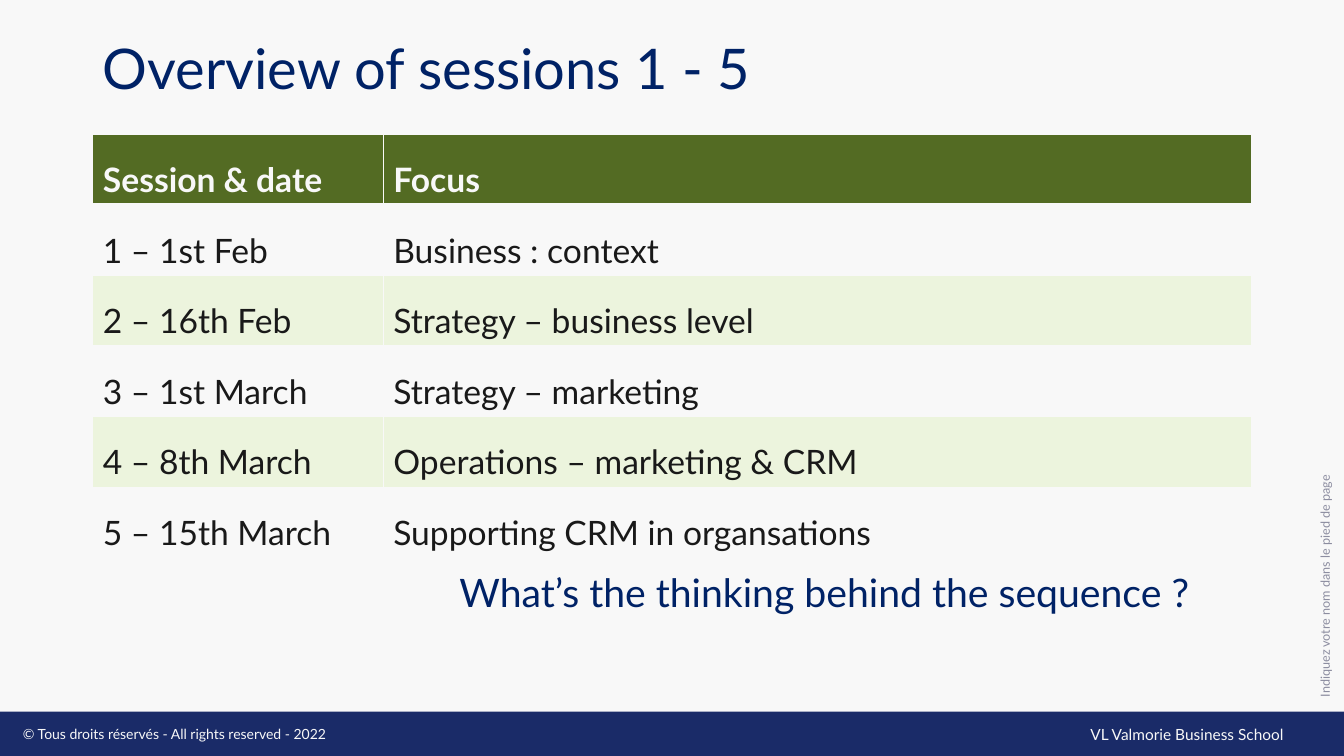
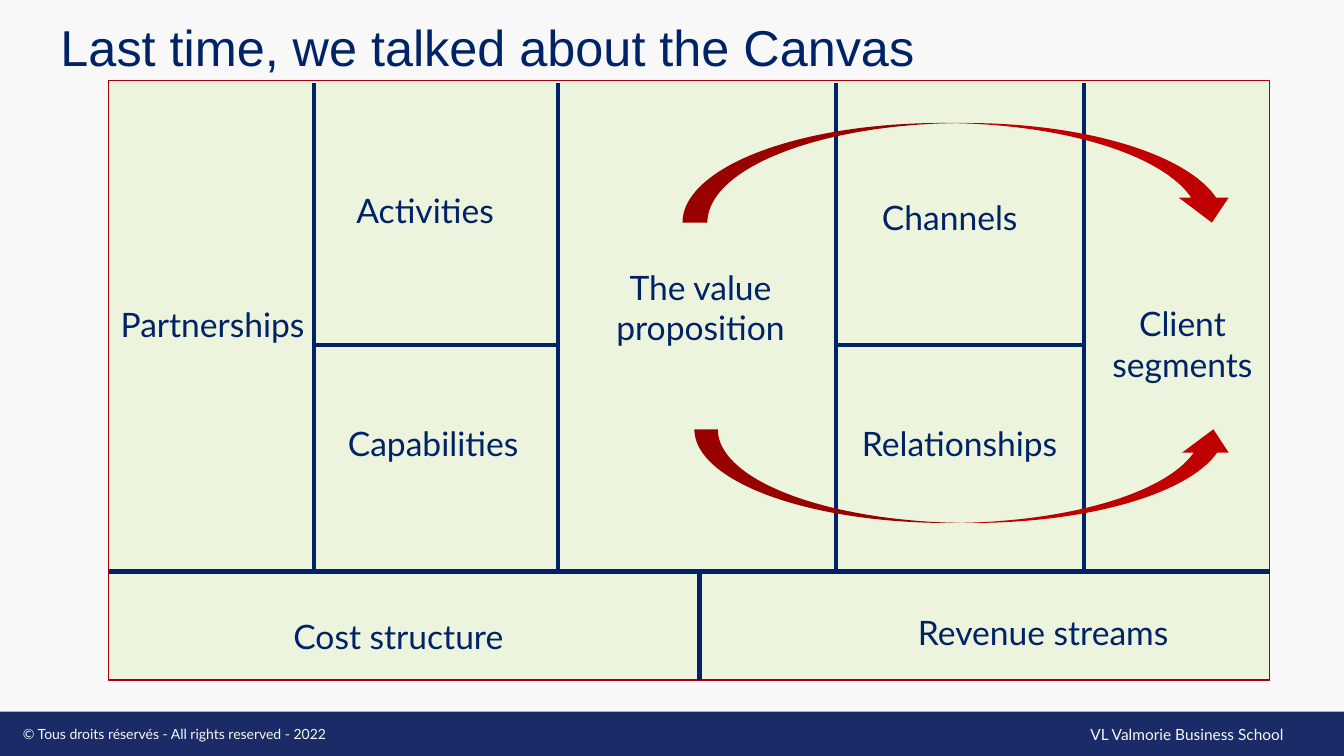
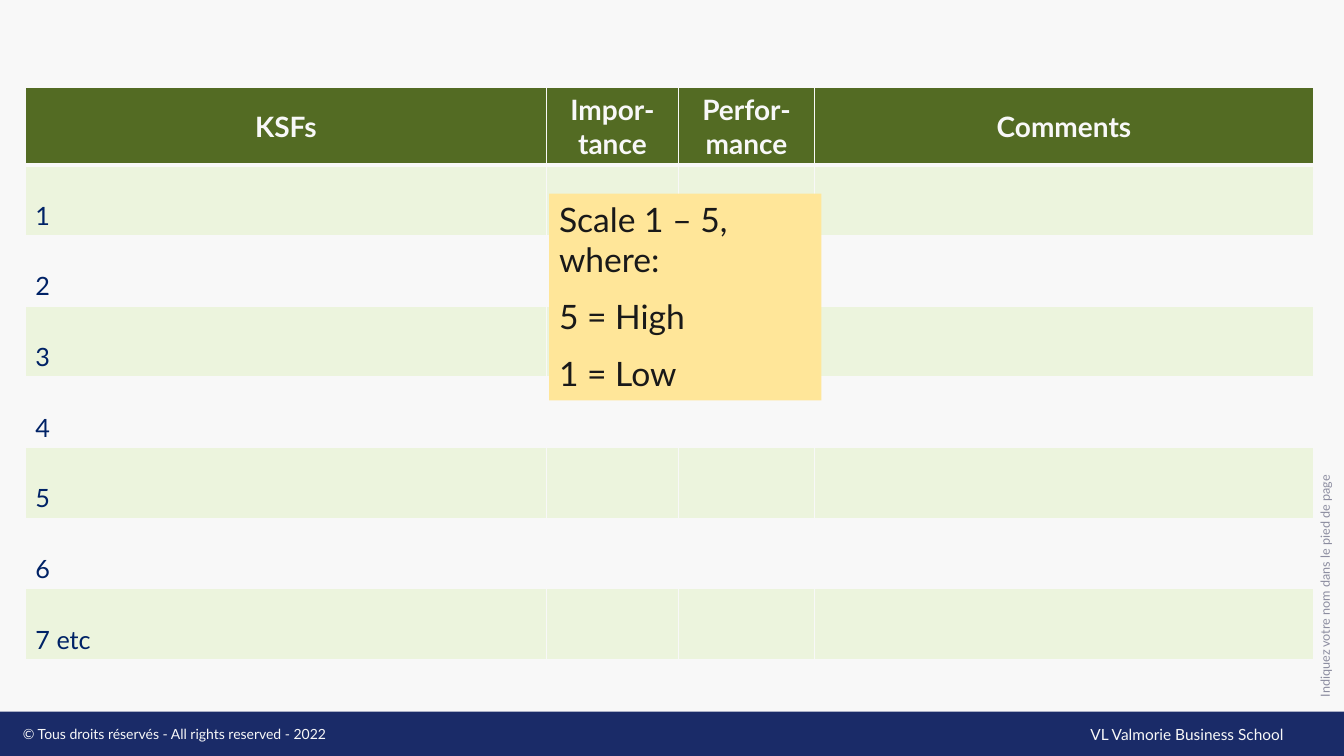
from dataclasses import dataclass, replace
from typing import Any

from lxml.etree import SubElement
from pptx import Presentation
from pptx.dml.color import RGBColor
from pptx.enum.shapes import MSO_CONNECTOR, MSO_SHAPE
from pptx.enum.text import MSO_ANCHOR, MSO_AUTO_SIZE, PP_ALIGN
from pptx.oxml.ns import qn
from pptx.util import Cm, Pt

LEFT, CENTER = PP_ALIGN.LEFT, PP_ALIGN.CENTER
TOP, MIDDLE = MSO_ANCHOR.TOP, MSO_ANCHOR.MIDDLE
FIXED, GROW = MSO_AUTO_SIZE.NONE, MSO_AUTO_SIZE.SHAPE_TO_FIT_TEXT
RECTANGLE, ARC_ARROW = MSO_SHAPE.RECTANGLE, MSO_SHAPE.CURVED_DOWN_ARROW
STRAIGHT = MSO_CONNECTOR.STRAIGHT

PAPER, NAVY, BAND = "F8F8F8", "002266", "1A2B68"
OLIVE, PALE_GREEN, INK = "536B23", "ECF4DD", "191919"
GREY, CRIMSON, RED, SAND = "8C8DA0", "A60010", "C00000", "FFE699"
TITLE_ONLY, BLANK = 5, 6
ROW_HEIGHT = 1.78


@dataclass(frozen=True)
class Area:
    left: float
    top: float
    width: float
    height: float

    def lengths(self) -> tuple:
        return Cm(self.left), Cm(self.top), Cm(self.width), Cm(self.height)


@dataclass(frozen=True)
class Look:
    size: float
    color: str = NAVY
    font: str = "Lato"
    bold: bool = False
    align: Any = LEFT
    spacing: float = 1.0
    after: float = 0


@dataclass(frozen=True)
class Rule:
    start_x: float
    start_y: float
    end_x: float
    end_y: float


@dataclass(frozen=True)
class Label:
    lines: tuple
    left: float
    top: float
    width: float


@dataclass(frozen=True)
class Grid:
    left: float
    top: float
    widths: tuple
    rows: tuple
    header: Look
    body: Look
    first_band: int
    tight_columns: tuple = ()


CANVAS = Area(2.74, 2.03, 29.26, 15.11)
COLUMN_EDGES = (7.92, 14.07, 21.06, 27.31)
SPLIT_Y, BASE_Y = 8.69, 14.4
RULES = (
    *(Rule(edge, 2.1, edge, BASE_Y + 0.05) for edge in COLUMN_EDGES),
    *(Rule(start, SPLIT_Y, end, SPLIT_Y)
      for start, end in (COLUMN_EDGES[:2], COLUMN_EDGES[2:])),
    Rule(CANVAS.left, BASE_Y, CANVAS.left + CANVAS.width, BASE_Y),
    Rule(17.63, BASE_Y, 17.63, CANVAS.top + CANVAS.height),
)
LABELS = (
    Label(("Partnerships",), 2.72, 7.54, 5.28),
    Label(("Capabilities",), 8.36, 10.54, 5.11),
    Label(("Activities",), 8.71, 4.65, 4.01),
    Label(("Client", "segments"), 27.64, 7.52, 4.32),
    Label(("Relationships",), 21.34, 10.54, 5.69),
    Label(("Channels",), 21.85, 4.83, 4.17),
    Label(("The value", "proposition"), 15.14, 6.6, 5.03),
    Label(("Cost structure",), 7.07, 15.39, 5.94),
    Label(("Revenue streams",), 22.72, 15.29, 7.14),
)
SESSIONS = Grid(
    2.34, 3.38, (7.32, 21.89),
    (
        ("Session & date", "Focus"),
        ("1 – 1st Feb", "Business : context"),
        ("2 – 16th Feb", "Strategy – business level"),
        ("3 – 1st March", "Strategy – marketing"),
        ("4 – 8th March", "Operations – marketing & CRM"),
        ("5 – 15th March", "Supporting CRM in organsations"),
    ),
    Look(24, PAPER, bold=True, spacing=1.5),
    Look(24, INK, spacing=1.5),
    first_band=2,
)
FACTORS = Grid(
    0.64, 2.21, (13.13, 3.33, 3.43, 12.57),
    (
        ("KSFs", "Impor-tance", "Perfor-mance", "Comments"),
        *((name, "", "", "") for name in ("1", "2", "3", "4", "5", "6", "7 etc")),
    ),
    Look(20, PAPER, bold=True, align=CENTER, spacing=1.5),
    Look(18, spacing=2.0),
    first_band=1,
    tight_columns=(1, 2),
)


def rgb(value: str) -> RGBColor:
    return RGBColor.from_string(value)


def apply(target: Any, values: dict) -> None:
    for name, value in values.items():
        setattr(target, name, value)


def paint(fill: Any, color: str) -> None:
    fill.solid()
    fill.fore_color.rgb = rgb(color)


def write(frame: Any, lines: tuple, look: Look) -> None:
    for index, line in enumerate(lines):
        para = frame.add_paragraph() if index else frame.paragraphs[0]
        apply(para, {
            "alignment": look.align,
            "line_spacing": look.spacing,
            "space_before": Pt(0),
            "space_after": Pt(look.after),
        })
        span = para.add_run()
        span.text = line
        apply(span.font, {"name": look.font, "size": Pt(look.size), "bold": look.bold})
        span.font.color.rgb = rgb(look.color)


def add_text(page: Any, area: Area, lines: tuple, look: Look, wrap: bool = True) -> Any:
    box = page.shapes.add_textbox(*area.lengths())
    apply(box.text_frame, {"word_wrap": wrap, "auto_size": GROW})
    write(box.text_frame, lines, look)
    return box


def add_figure(page: Any, kind: Any, area: Area, color: str, outline: str = "") -> Any:
    figure = page.shapes.add_shape(kind, *area.lengths())
    figure.shadow.inherit = False
    paint(figure.fill, color)
    if outline:
        paint(figure.line.fill, outline)
        figure.line.width = Pt(1)
    else:
        figure.line.fill.background()
    return figure


def add_rule(page: Any, rule: Rule) -> None:
    ends = (rule.start_x, rule.start_y, rule.end_x, rule.end_y)
    line = page.shapes.add_connector(STRAIGHT, *(Cm(end) for end in ends))
    paint(line.line.fill, NAVY)
    line.line.width = Pt(3)
    SubElement(line.element.spPr, qn("a:effectLst"))


def set_title(page: Any, text: str, area: Area, look: Look) -> None:
    title = page.shapes.title
    left, top, width, height = area.lengths()
    apply(title, {"left": left, "top": top, "width": width, "height": height})
    apply(title.text_frame, {
        "word_wrap": True, "auto_size": FIXED, "vertical_anchor": MIDDLE,
    })
    write(title.text_frame, (text,), look)


def set_borders(cell: Any, row: int) -> None:
    properties = cell._tc.get_or_add_tcPr()
    widths = {"lnL": 1, "lnR": 1, "lnT": 3 if row == 1 else 1, "lnB": 1 if row else 3}
    for position, (side, width) in enumerate(widths.items()):
        border = SubElement(properties, qn(f"a:{side}"), w=str(Pt(width)))
        fill = SubElement(border, qn("a:solidFill"))
        SubElement(fill, qn("a:srgbClr"), val=PAPER)
        properties.insert(position, border)


def add_grid(page: Any, grid: Grid) -> None:
    area = Area(grid.left, grid.top, sum(grid.widths), ROW_HEIGHT * len(grid.rows))
    table = page.shapes.add_table(
        len(grid.rows), len(grid.widths), *area.lengths()).table
    for column, width in zip(table.columns, grid.widths):
        column.width = Cm(width)
    for row, texts in enumerate(grid.rows):
        table.rows[row].height = Cm(ROW_HEIGHT)
        for column, text in enumerate(texts):
            cell = table.cell(row, column)
            look = grid.body if row else grid.header
            if row == 0:
                paint(cell.fill, OLIVE)
                if column in grid.tight_columns:
                    look = replace(look, spacing=1.0)
            elif (row - grid.first_band) % 2 == 0:
                paint(cell.fill, PALE_GREEN)
            else:
                cell.fill.background()
            set_borders(cell, row)
            if text:
                write(cell.text_frame, (text,), look)


def add_side_note(page: Any) -> None:
    box = add_text(page, Area(33.1, 1.24, 0.58, 16.51),
                   ("Indiquez votre nom dans le pied de page",), Look(9, GREY))
    apply(box.text_frame, {
        "auto_size": FIXED, "vertical_anchor": MIDDLE,
        "margin_left": 0, "margin_right": 0, "margin_bottom": Cm(0.18),
    })
    box.element.txBody.bodyPr.set("vert", "vert270")


def build_master(deck: Any, page: Any) -> None:
    master = deck.slide_master
    paint(master.background.fill, PAPER)
    parts = (
        add_figure(page, RECTANGLE, Area(0, 17.93, 33.87, 1.12), BAND),
        add_text(page, Area(27.23, 18.14, 6.22, 0.74),
                 ("VL Valmorie Business School",), Look(11, PAPER)),
        add_text(page, Area(0.33, 18.16, 11.3, 0.69),
                 ("© Tous droits réservés - All rights reserved - 2022",),
                 Look(10, PAPER)),
    )
    for part in parts:
        master.shapes.element.append(part.element)


def build_sessions(page: Any) -> None:
    set_title(page, "Overview of sessions 1 - 5", Area(2.34, 0.89, 29.21, 1.8),
              Look(40, spacing=0.9))
    add_side_note(page)
    add_grid(page, SESSIONS)
    add_text(page, Area(11.33, 14.2, 19.86, 1.45),
             ("What’s the thinking behind the sequence ?",), Look(28), wrap=False)


def build_canvas(page: Any) -> None:
    set_title(page, "Last time, we talked about the Canvas",
              Area(1.27, 0.28, 23, 1.8), Look(36, font="Arial"))
    add_figure(page, RECTANGLE, CANVAS, PALE_GREEN, CRIMSON)
    for rule in RULES:
        add_rule(page, rule)
    for label in LABELS:
        height = 0.25 + 1.02 * len(label.lines)
        add_text(page, Area(label.left, label.top, label.width, height),
                 label.lines, Look(24, align=CENTER), wrap=False)
    add_figure(page, ARC_ARROW, Area(17.2, 3.1, 13.97, 2.51), RED)
    lower_arrow = add_figure(page, ARC_ARROW, Area(17.5, 10.82, 13.67, 2.36), RED)
    lower_arrow.element.spPr.find(qn("a:xfrm")).set("flipV", "1")


def build_factors(page: Any) -> None:
    add_side_note(page)
    add_grid(page, FACTORS)
    scale = add_figure(page, RECTANGLE, Area(13.84, 4.88, 6.86, 5.21), SAND)
    apply(scale.text_frame, {
        "word_wrap": True, "auto_size": GROW, "vertical_anchor": TOP,
    })
    write(scale.text_frame, ("Scale 1 – 5, where:", "5 = High", "1 = Low"),
          Look(24, INK, after=12))


def main() -> None:
    deck = Presentation()
    apply(deck, {"slide_width": Cm(33.87), "slide_height": Cm(19.05)})
    builders = (
        (TITLE_ONLY, build_sessions),
        (TITLE_ONLY, build_canvas),
        (BLANK, build_factors),
    )
    for number, (layout, build) in enumerate(builders):
        page = deck.slides.add_slide(deck.slide_layouts[layout])
        if number == 0:
            build_master(deck, page)
        build(page)
    deck.save("out.pptx")


if __name__ == "__main__":
    main()
